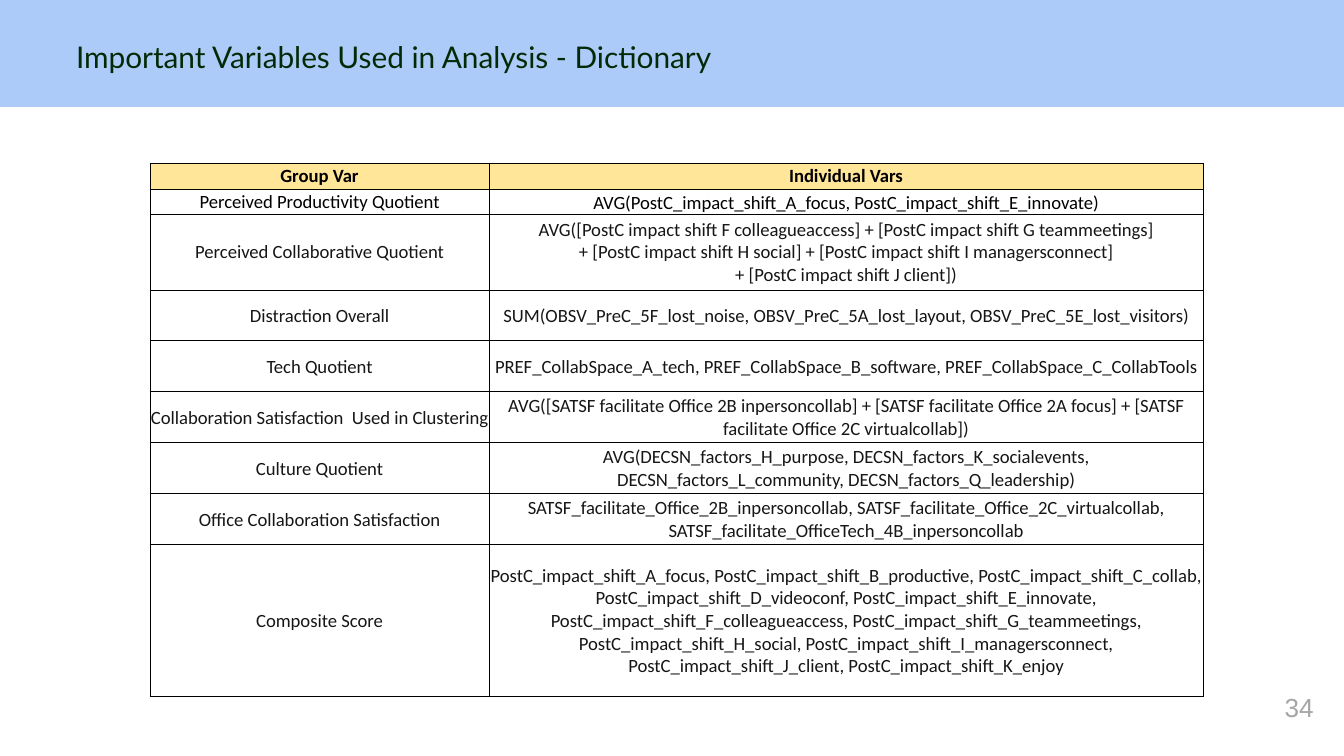
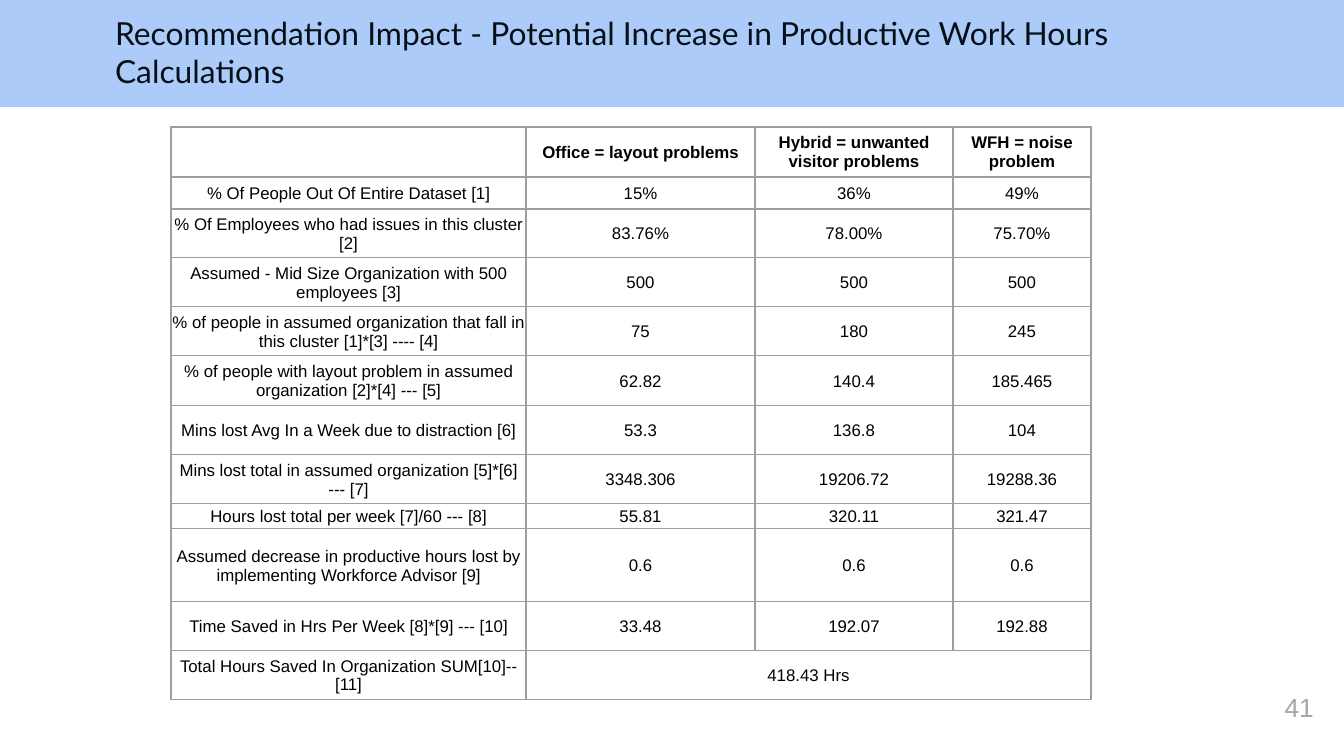
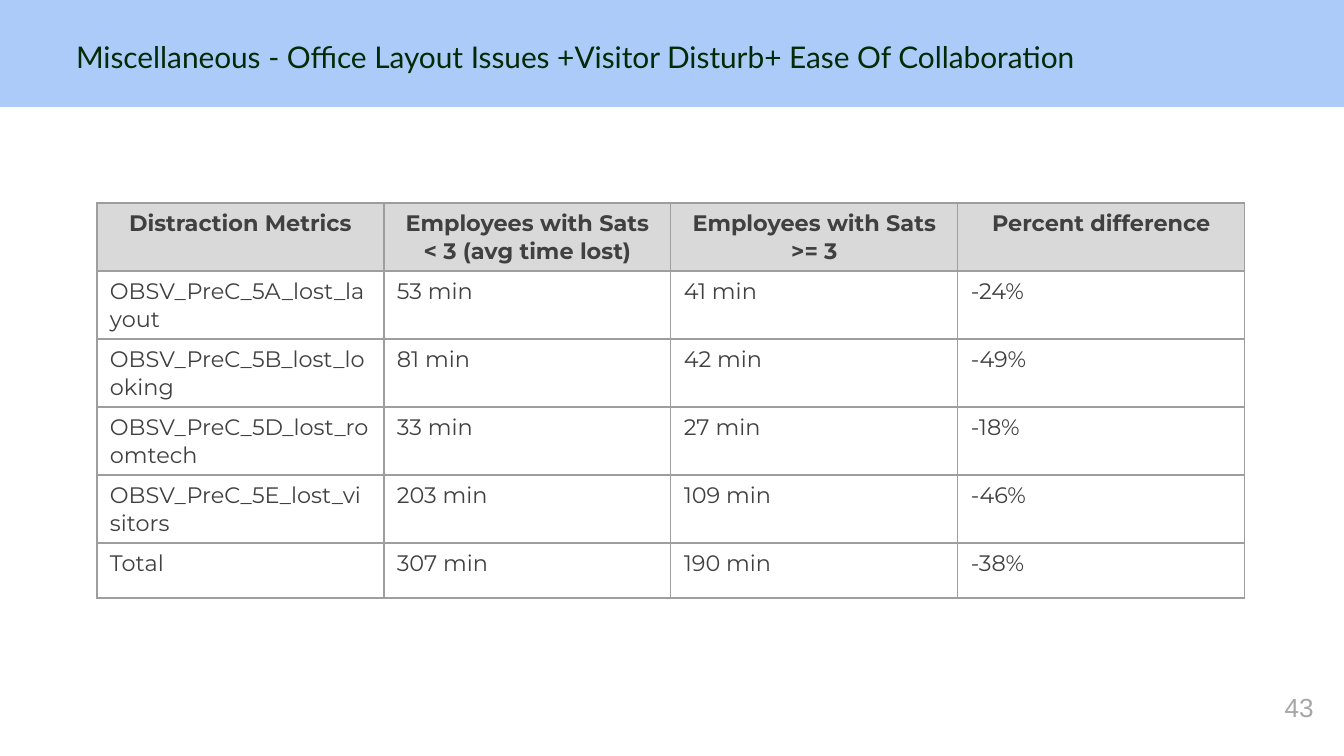
from dataclasses import dataclass

from lxml import etree
from pptx import Presentation
from pptx import util as u
from pptx.dml.color import RGBColor
from pptx.enum import shapes, text
from pptx.oxml.ns import qn

EMU_PER_PX = 914400 / 134.4
SLIDE_WIDTH, SLIDE_HEIGHT = 1344, 756
BAND_HEIGHT = 107
TITLE_ONLY = 5

BAND_BLUE = RGBColor(0xAC, 0xCB, 0xF9)
TITLE_GREEN = RGBColor(0x03, 0x2A, 0x06)
TITLE_NAVY = RGBColor(0x07, 0x10, 0x18)
NUMBER_GREY = RGBColor(0xA6, 0xA6, 0xA6)
BLACK = RGBColor(0x00, 0x00, 0x00)
NEAR_BLACK = RGBColor(0x16, 0x16, 0x16)
DARK_GREY = RGBColor(0x40, 0x40, 0x40)
LINE_GREY = RGBColor(0x9E, 0x9E, 0x9E)
HEAD_GREY = RGBColor(0xD9, 0xD9, 0xD9)
HEAD_YELLOW = RGBColor(0xFF, 0xE6, 0x99)

CENTER, LEFT, RIGHT = text.PP_ALIGN.CENTER, text.PP_ALIGN.LEFT, text.PP_ALIGN.RIGHT
TOP, MIDDLE, BOTTOM = (text.MSO_ANCHOR.TOP, text.MSO_ANCHOR.MIDDLE,
                       text.MSO_ANCHOR.BOTTOM)


def px(length):
    return u.Emu(round(length * EMU_PER_PX))


@dataclass
class TableLook:
    """inks holds one colour per row; the last one serves all later rows."""
    font: str
    size: int
    inks: tuple
    line: RGBColor
    line_width: float
    head_fill: RGBColor = None
    body_align: int = CENTER
    anchor: int = MIDDLE
    insets: tuple = (1, 1, 1, 0)


class Report:
    def __init__(self):
        self.deck = Presentation()
        self.deck.slide_width, self.deck.slide_height = px(SLIDE_WIDTH), px(SLIDE_HEIGHT)
        self.layout = self.deck.slide_layouts[TITLE_ONLY]
        self.page = None

    def new_page(self, number):
        self.page = self.deck.slides.add_slide(self.layout)
        if len(self.deck.slides) == 1:
            self.band()
        self.page_number(number)

    def band(self):
        """Draw the title band and move it to the layout that all pages share."""
        band = self.page.shapes.add_shape(
            shapes.MSO_SHAPE.RECTANGLE, 0, 0, px(SLIDE_WIDTH), px(BAND_HEIGHT))
        band.shadow.inherit = False
        band.fill.solid()
        band.fill.fore_color.rgb = BAND_BLUE
        band.line.fill.background()
        self.layout.shapes._spTree.insert(2, band._element)

    def put_text(self, frame, words, font, size, ink, align=LEFT, bold=False):
        para = frame.paragraphs[0]
        para.alignment = align
        for index, line in enumerate(words.split("\n")):
            if index:
                para.add_line_break()
            span = para.add_run()
            span.text = line
            span.font.name, span.font.size = font, u.Pt(size)
            span.font.bold, span.font.color.rgb = bold, ink

    def title(self, words, left=63, top=26, width=1106, height=63,
              size=16, ink=TITLE_GREEN, anchor=TOP):
        box = self.page.shapes.title
        box.left, box.top, box.width, box.height = map(px, (left, top, width, height))
        frame = box.text_frame
        frame.word_wrap, frame.auto_size = True, text.MSO_AUTO_SIZE.NONE
        frame.vertical_anchor = anchor
        frame.margin_left = frame.margin_right = px(13)
        frame.margin_top = frame.margin_bottom = px(13)
        self.put_text(frame, words, "Lato", size, ink)

    def page_number(self, number):
        box = self.page.shapes.add_textbox(px(1246), px(685), px(81), px(58))
        box.text_frame.word_wrap = True
        self.put_text(box.text_frame, str(number), "Arial", 14, NUMBER_GREY, RIGHT)

    def borders(self, cell, look):
        properties = cell._tc.get_or_add_tcPr()
        for side in ("lnL", "lnR", "lnT", "lnB"):
            line = etree.SubElement(properties, qn(f"a:{side}"),
                                    w=str(u.Pt(look.line_width)))
            fill = etree.SubElement(line, qn("a:solidFill"))
            etree.SubElement(fill, qn("a:srgbClr"), val=str(look.line))

    def table(self, left, top, widths, heights, rows, look):
        table = self.page.shapes.add_table(
            len(rows), len(widths), px(left), px(top),
            px(sum(widths)), px(sum(heights))).table
        table.first_row = table.horz_banding = False
        for column, width in zip(table.columns, widths):
            column.width = px(width)
        for row, height in zip(table.rows, heights):
            row.height = px(height)
        for r, row in enumerate(rows):
            for c, words in enumerate(row):
                self.cell(table.cell(r, c), words, r, look)
        return table

    def cell(self, cell, words, row, look):
        is_head = row == 0
        self.borders(cell, look)
        if is_head and look.head_fill:
            cell.fill.solid()
            cell.fill.fore_color.rgb = look.head_fill
        else:
            cell.fill.background()
        cell.vertical_anchor = look.anchor
        (cell.margin_left, cell.margin_right,
         cell.margin_top, cell.margin_bottom) = map(px, look.insets)
        if words:
            ink = look.inks[min(row, len(look.inks) - 1)]
            align = CENTER if is_head else look.body_align
            self.put_text(cell.text_frame, words, look.font, look.size, ink, align, is_head)


def dictionary_page(report):
    report.new_page(34)
    report.title("Important Variables Used in Analysis - Dictionary")
    look = TableLook("Calibri", 10, (BLACK, BLACK, NEAR_BLACK), BLACK, 0.5, HEAD_YELLOW)
    variables = [
        ("Group Var", "Individual Vars"),
        ("Perceived Productivity Quotient",
         "AVG(PostC_impact_shift_A_focus, PostC_impact_shift_E_innovate)"),
        ("Perceived Collaborative Quotient",
         "AVG([PostC impact shift F colleagueaccess] + [PostC impact shift G teammeetings]\n"
         "+ [PostC impact shift H social] + [PostC impact shift I managersconnect]\n"
         "+ [PostC impact shift J client])"),
        ("Distraction Overall",
         "SUM(OBSV_PreC_5F_lost_noise, OBSV_PreC_5A_lost_layout, "
         "OBSV_PreC_5E_lost_visitors)"),
        ("Tech Quotient",
         "PREF_CollabSpace_A_tech, PREF_CollabSpace_B_software, "
         "PREF_CollabSpace_C_CollabTools"),
        ("Collaboration Satisfaction  Used in Clustering",
         "AVG([SATSF facilitate Office 2B inpersoncollab] + "
         "[SATSF facilitate Office 2A focus] + "
         "[SATSF facilitate Office 2C virtualcollab])"),
        ("Culture Quotient",
         "AVG(DECSN_factors_H_purpose, DECSN_factors_K_socialevents, "
         "DECSN_factors_L_community, DECSN_factors_Q_leadership)"),
        ("Office Collaboration Satisfaction",
         "SATSF_facilitate_Office_2B_inpersoncollab, "
         "SATSF_facilitate_Office_2C_virtualcollab, "
         "SATSF_facilitate_OfficeTech_4B_inpersoncollab"),
        ("Composite Score",
         "PostC_impact_shift_A_focus, PostC_impact_shift_B_productive, "
         "PostC_impact_shift_C_collab, PostC_impact_shift_D_videoconf, "
         "PostC_impact_shift_E_innovate, PostC_impact_shift_F_colleagueaccess, "
         "PostC_impact_shift_G_teammeetings, PostC_impact_shift_H_social, "
         "PostC_impact_shift_I_managersconnect, PostC_impact_shift_J_client, "
         "PostC_impact_shift_K_enjoy"),
    ]
    heights = [26, 25, 76] + [51] * 5 + [152]
    table = report.table(150, 163, [339, 714], heights, variables, look)
    table.cell(1, 1).vertical_anchor = BOTTOM


def impact_page(report):
    report.new_page(41)
    report.title("Recommendation Impact - Potential Increase in Productive Work Hours "
                 "Calculations", 102, 5, 1067, 94, 17, TITLE_NAVY, MIDDLE)
    look = TableLook("Arial", 9, (BLACK,), LINE_GREY, 0.75)
    calculations = [
        ("", "Office = layout problems", "Hybrid = unwanted visitor problems",
         "WFH = noise problem"),
        ("% Of People Out Of Entire Dataset [1]", "15%", "36%", "49%"),
        ("% Of Employees who had issues in this cluster [2]", "83.76%", "78.00%", "75.70%"),
        ("Assumed - Mid Size Organization with 500 employees [3]", "500", "500", "500"),
        ("% of people in assumed organization that fall in this cluster [1]*[3] ---- [4]",
         "75", "180", "245"),
        ("% of people with layout problem in assumed organization [2]*[4] --- [5]",
         "62.82", "140.4", "185.465"),
        ("Mins lost Avg In a Week due to distraction [6]", "53.3", "136.8", "104"),
        ("Mins lost total in assumed organization [5]*[6] --- [7]",
         "3348.306", "19206.72", "19288.36"),
        ("Hours lost total per week [7]/60 --- [8]", "55.81", "320.11", "321.47"),
        ("Assumed decrease in productive hours lost by implementing Workforce Advisor [9]",
         "0.6", "0.6", "0.6"),
        ("Time Saved in Hrs Per Week [8]*[9] --- [10]", "33.48", "192.07", "192.88"),
        ("Total Hours Saved In Organization SUM[10]-- [11]", "418.43 Hrs", "", ""),
    ]
    heights = [50, 32, 49, 49, 49, 50, 49, 49, 25, 73, 49, 49]
    table = report.table(171, 127, [355, 229, 198, 138], heights, calculations, look)
    table.cell(11, 1).merge(table.cell(11, 3))


def distraction_page(report):
    report.new_page(43)
    report.title("Miscellaneous - Office Layout Issues +Visitor Disturb+ "
                 "Ease Of Collaboration")
    look = TableLook("Montserrat", 12, (DARK_GREY,), LINE_GREY, 0.75, HEAD_GREY,
                     LEFT, TOP, (13, 13, 7, 7))
    metrics = [
        ("Distraction Metrics", "Employees with Sats < 3 (avg time lost)",
         "Employees with Sats >= 3", "Percent difference"),
        ("OBSV_PreC_5A_lost_layout", "53 min", "41 min", "-24%"),
        ("OBSV_PreC_5B_lost_looking", "81 min", "42 min", "-49%"),
        ("OBSV_PreC_5D_lost_roomtech", "33 min", "27 min", "-18%"),
        ("OBSV_PreC_5E_lost_visitors", "203 min", "109 min", "-46%"),
        ("Total", "307 min", "190 min", "-38%"),
    ]
    report.table(97, 203, [287] * 4, [68] * 5 + [55], metrics, look)


def main():
    report = Report()
    dictionary_page(report)
    impact_page(report)
    distraction_page(report)
    report.deck.save("out.pptx")


if __name__ == "__main__":
    main()
